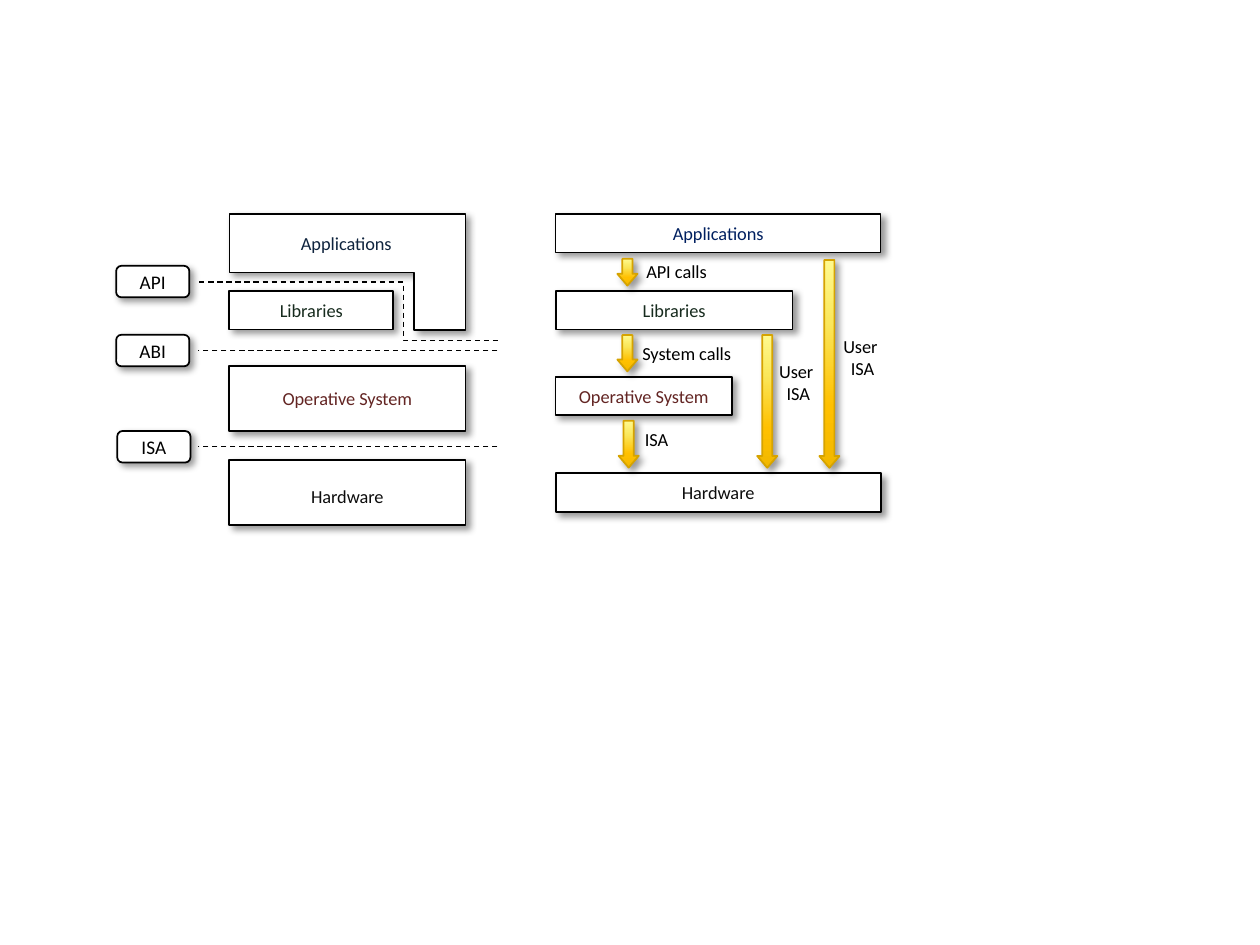
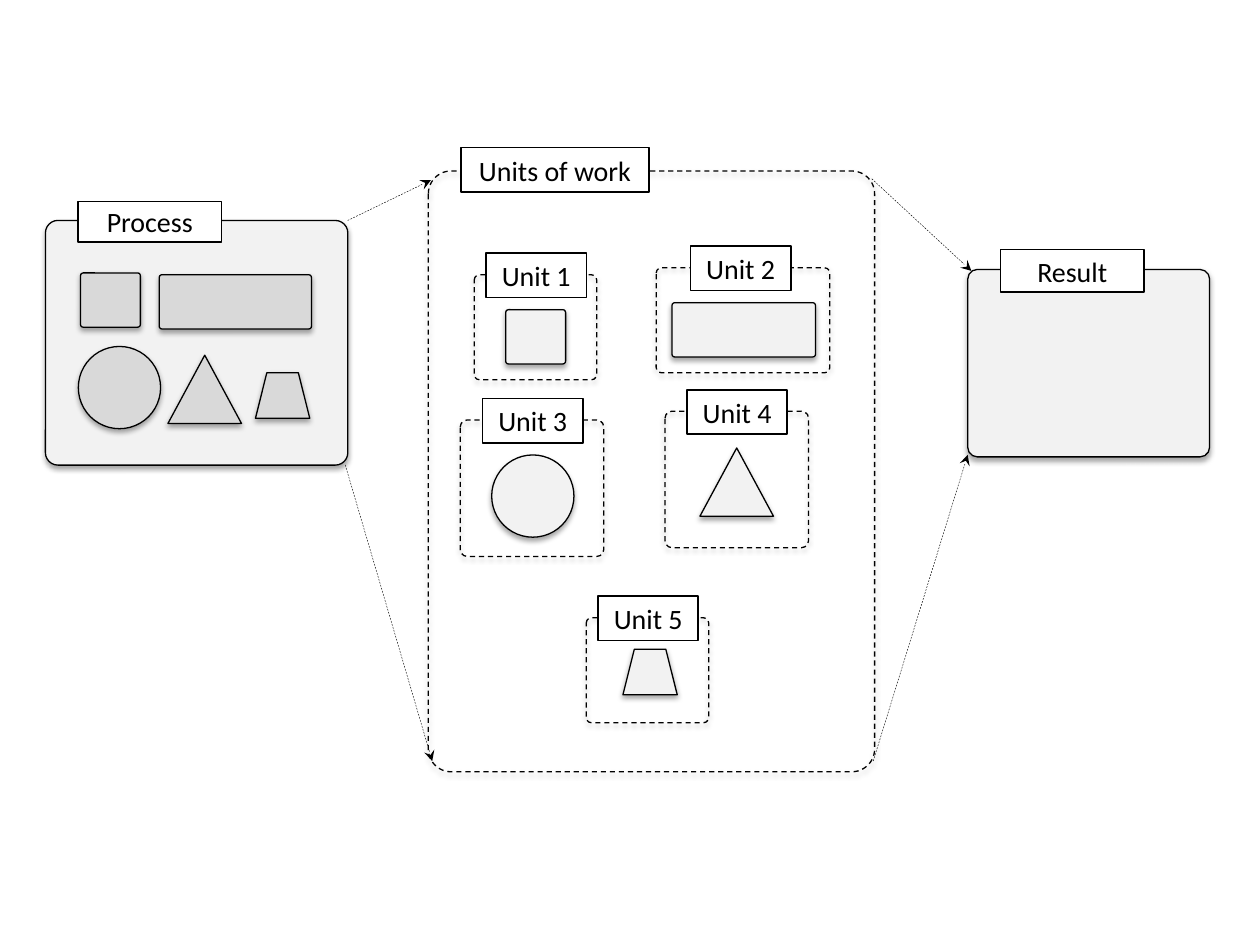
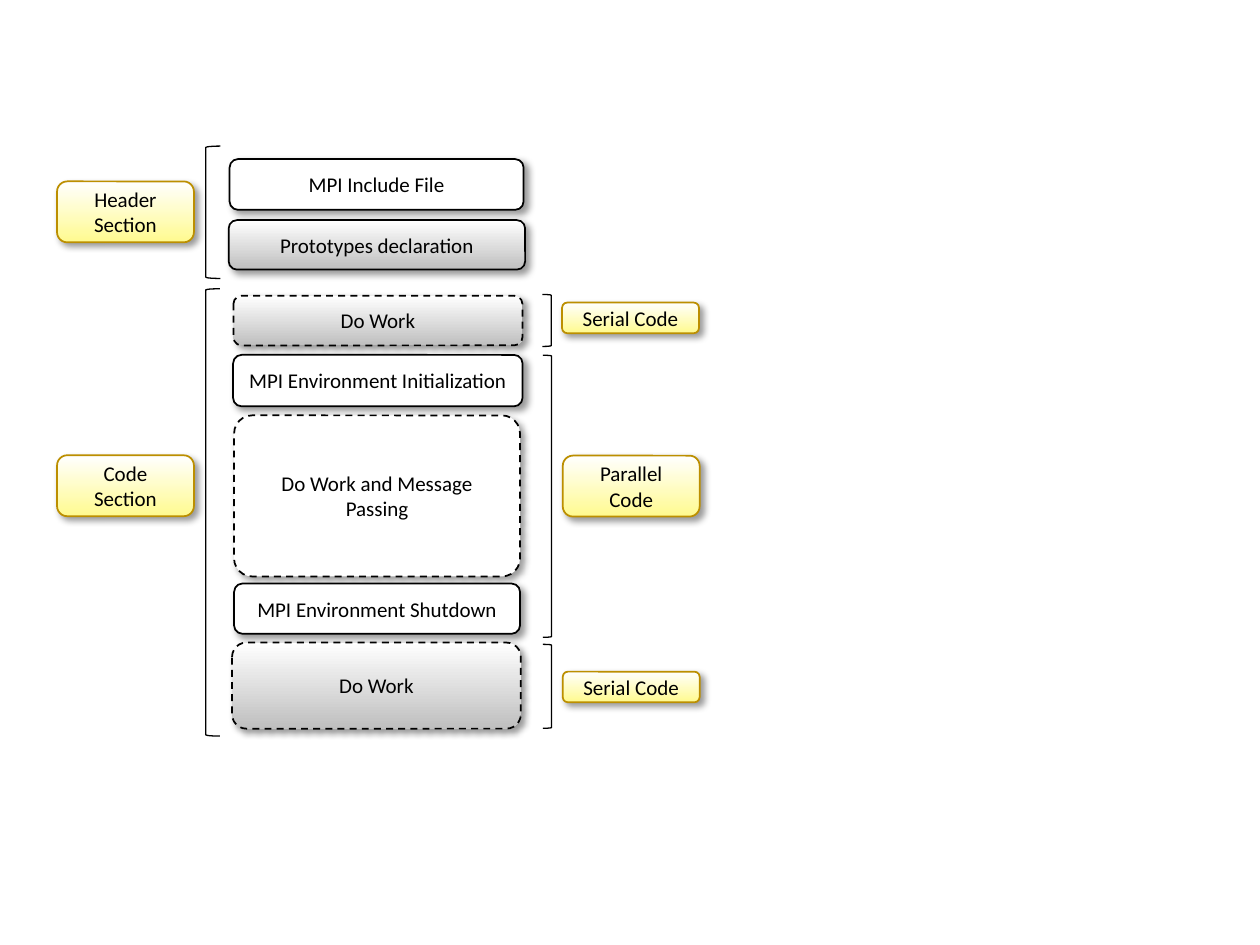
from dataclasses import dataclass, replace
from typing import NamedTuple, Optional

from lxml.etree import SubElement
from pptx import Presentation
from pptx.dml.color import RGBColor
from pptx.enum.dml import MSO_LINE
from pptx.enum.shapes import MSO_CONNECTOR, MSO_SHAPE
from pptx.enum.text import MSO_ANCHOR, MSO_AUTO_SIZE, PP_ALIGN
from pptx.oxml.ns import qn
from pptx.util import Pt


# Theme: colours, type sizes and shadows
class Shadow(NamedTuple):
    opacity: int
    blur: float
    distance: float
    angle: int


@dataclass(frozen=True)
class Theme:
    font: str = "Calibri"
    black: str = "000000"
    white: str = "FFFFFF"
    pale: str = "F2F2F2"
    grey: str = "D9D9D9"
    navy: str = "0F243E"
    blue: str = "002060"
    green: str = "172B1E"
    maroon: str = "632523"
    charcoal: str = "0D0D0D"
    arrow_edge: str = "D6A300"
    note_edge: str = "BC8F00"
    arrow_fade: tuple = ((0, "FFFA8F"), (30, "FAE75C"), (70, "FFC000"), (100, "F2B800"))
    grey_fade: tuple = ((0, "FFFFFF"), (100, "BFBFBF"))
    yellow_fade: tuple = ((0, "FFFFFF"), (100, "FFFA8F"))
    layer_size: float = 10.5
    tag_size: float = 11
    stage_size: float = 12
    title_size: float = 16
    slanted: Shadow = Shadow(40, 4, 3, 45)
    dropped: Shadow = Shadow(35, 3.1, 1.8, 90)


THEME = Theme()


class Box(NamedTuple):
    x: float
    y: float
    w: float
    h: float


@dataclass(frozen=True)
class Style:
    fill: Optional[str | tuple] = THEME.white
    edge: str = THEME.black
    width: float = 1
    dashed: bool = False
    shadow: Optional[Shadow] = THEME.slanted
    ink: str = THEME.black
    size: float = THEME.layer_size
    side_inset: float = 7.2
    top_inset: float = 3.6


LAYER = Style()
TAG = Style(size=THEME.tag_size, side_inset=0)
CALL = Style(fill=THEME.arrow_fade, edge=THEME.arrow_edge)
TITLE = Style(shadow=None, size=THEME.title_size, side_inset=0)
PANEL = Style(fill=THEME.pale, width=0.75, shadow=THEME.dropped)
FRAME = replace(PANEL, fill=None, dashed=True)
PIECE = replace(PANEL, fill=THEME.grey)
STAGE = Style(size=THEME.stage_size)
WORK = replace(STAGE, fill=THEME.grey_fade, dashed=True)
NOTE = replace(STAGE, fill=THEME.yellow_fade, edge=THEME.note_edge)
BRACKET = Style(fill=None, width=0.75, shadow=None)


# Drawing helpers
def paint_fade(shape, stops: tuple) -> None:
    shape.fill.gradient()
    shape.fill.gradient_angle = 270
    stop_list = shape.element.spPr.find(".//" + qn("a:gsLst"))
    for old_stop in list(stop_list):
        stop_list.remove(old_stop)
    for position, colour in stops:
        stop = SubElement(stop_list, qn("a:gs"), pos=str(position * 1000))
        SubElement(stop, qn("a:srgbClr"), val=colour)


def cast_shadow(shape, shadow: Optional[Shadow]) -> None:
    shape.shadow.inherit = False
    if shadow is None:
        return
    effects = shape.element.spPr.find(qn("a:effectLst"))
    outer = SubElement(effects, qn("a:outerShdw"), blurRad=str(Pt(shadow.blur)),
                       dist=str(Pt(shadow.distance)), dir=str(shadow.angle * 60000),
                       algn="tl", rotWithShape="0")
    colour = SubElement(outer, qn("a:srgbClr"), val=THEME.black)
    SubElement(colour, qn("a:alpha"), val=str(shadow.opacity * 1000))


def draw_line(line, colour: str, width: float, dashed: bool) -> None:
    line.color.rgb = RGBColor.from_string(colour)
    line.width = Pt(width)
    if dashed:
        line.dash_style = MSO_LINE.DASH


def write(frame, text: str, size: float, ink: str, align: PP_ALIGN) -> None:
    frame.text = text
    for paragraph in frame.paragraphs:
        paragraph.alignment = align
        paragraph.font.name = THEME.font
        paragraph.font.size = Pt(size)
        paragraph.font.color.rgb = RGBColor.from_string(ink)


def paint(shape, style: Style) -> None:
    if style.fill is None:
        shape.fill.background()
    elif isinstance(style.fill, tuple):
        paint_fade(shape, style.fill)
    else:
        shape.fill.solid()
        shape.fill.fore_color.rgb = RGBColor.from_string(style.fill)
    draw_line(shape.line, style.edge, style.width, style.dashed)
    cast_shadow(shape, style.shadow)


def add_box(slide, preset: MSO_SHAPE, box: Box, style: Style, text: str = "",
            adjust: tuple = ()) -> None:
    shape = slide.shapes.add_shape(preset, *map(Pt, box))
    for index, value in enumerate(adjust):
        shape.adjustments[index] = value
    paint(shape, style)
    if text:
        frame = shape.text_frame
        frame.word_wrap = True
        frame.vertical_anchor = MSO_ANCHOR.MIDDLE
        frame.margin_left = frame.margin_right = Pt(style.side_inset)
        frame.margin_top, frame.margin_bottom = Pt(style.top_inset), Pt(3.6)
        write(frame, text, style.size, style.ink, PP_ALIGN.CENTER)


def add_outline(slide, corners: tuple, style: Style) -> None:
    start, *others = [(Pt(x), Pt(y)) for x, y in corners]
    builder = slide.shapes.build_freeform(*start)
    builder.add_line_segments(others, close=True)
    paint(builder.convert_to_shape(), style)


def add_label(slide, text: str, box: Box, ink: str = THEME.black) -> None:
    frame = slide.shapes.add_textbox(*map(Pt, box)).text_frame
    frame.word_wrap = False
    frame.auto_size = MSO_AUTO_SIZE.SHAPE_TO_FIT_TEXT
    align = PP_ALIGN.CENTER if "\n" in text else PP_ALIGN.LEFT
    write(frame, text, THEME.layer_size, ink, align)


def add_dashes(slide, ends: tuple, width: float = 0.75, arrow: bool = False,
               bend: Optional[float] = None) -> None:
    kind = MSO_CONNECTOR.STRAIGHT if bend is None else MSO_CONNECTOR.ELBOW
    connector = slide.shapes.add_connector(kind, *map(Pt, ends))
    draw_line(connector.line, THEME.black, width, True)
    properties = connector.element.spPr
    if arrow:
        SubElement(properties.find(qn("a:ln")), qn("a:tailEnd"), type="stealth")
    if bend is not None:
        guides = properties.find(".//" + qn("a:avLst"))
        SubElement(guides, qn("a:gd"), name="adj1", fmla=f"val {round(bend * 100000)}")
    SubElement(properties, qn("a:effectLst"))


# Slide 1: software layers and their interfaces
class Layer(NamedTuple):
    text: str
    box: Box
    ink: str
    edge_width: float = 1
    top_inset: float = 3.6


STACK_X, STACK_W, CALLS_X, CALLS_W = 131, 135, 317.5, 185.8
APPLICATIONS_OUTLINE = ((STACK_X, 122.3), (STACK_X + STACK_W, 122.3),
                        (STACK_X + STACK_W, 188.7), (236.6, 188.7),
                        (236.6, 155.7), (STACK_X, 155.7))
LAYERS = (
    Layer("Libraries", Box(STACK_X, 166.3, 93.8, 22), THEME.green),
    Layer("Hardware", Box(STACK_X, 263, STACK_W, 37.2), THEME.charcoal, top_inset=7.2),
    Layer("Operative System", Box(STACK_X, 209.2, STACK_W, 37.2), THEME.maroon),
    Layer("Operative System", Box(CALLS_X, 215.4, 100.8, 22), THEME.maroon),
    Layer("Hardware", Box(CALLS_X, 270.5, CALLS_W, 22), THEME.charcoal),
    Layer("Libraries", Box(CALLS_X, 166.3, 135.4, 22), THEME.green),
    Layer("Applications", Box(CALLS_X, 122.3, CALLS_W, 22), THEME.blue, 0.75),
)
INTERFACES = (("API", 66.4, 151.9), ("ABI", 66.4, 191.3), ("ISA", 67, 246.3))
CALL_ARROWS = ((353.5, 240.4, 26.8), (352.8, 191.5, 20.7), (352.8, 147.9, 15.3),
               (432.7, 191.5, 75.8), (468.2, 148.5, 118.8))
CALL_LABELS = (
    ("API calls", Box(362.2, 145.4, 49.7, 20.2)),
    ("System calls", Box(360, 191.7, 67, 20.2)),
    ("ISA", Box(361.4, 241.2, 28.1, 20.2)),
    ("User \nISA", Box(437.8, 202.3, 36.7, 32.4)),
    ("User \nISA", Box(474.5, 187.9, 36.7, 32.4)),
)


def build_interfaces(slide) -> None:
    add_outline(slide, APPLICATIONS_OUTLINE, replace(LAYER, width=0.75))
    for layer in LAYERS:
        style = replace(LAYER, ink=layer.ink, width=layer.edge_width,
                        top_inset=layer.top_inset)
        add_box(slide, MSO_SHAPE.RECTANGLE, layer.box, style, layer.text)
    add_label(slide, "Applications", Box(164.9, 128.9, 67.7, 20.2), THEME.navy)

    add_dashes(slide, (113.9, 161.2, 284.4, 194.6), bend=0.684)
    for y in (200.2, 255.3):
        add_dashes(slide, (284.2, y, 113.4, y))
    for text, x, y in INTERFACES:
        add_box(slide, MSO_SHAPE.ROUNDED_RECTANGLE, Box(x, y, 41.8, 18), TAG, text)

    for x, y, length in CALL_ARROWS:
        add_box(slide, MSO_SHAPE.DOWN_ARROW, Box(x, y, 11.5, length), CALL,
                adjust=(0.5, 0.583))
    for text, box in CALL_LABELS:
        add_label(slide, text, box)


# Slide 2: a process split into units of work
class Glyph(NamedTuple):
    preset: MSO_SHAPE
    w: float
    h: float


class Unit(NamedTuple):
    title: str
    title_x: float
    frame: Box
    glyph: Glyph
    glyph_x: float
    glyph_y: float


SOFT_CORNER = (0.051,)
SQUARE = Glyph(MSO_SHAPE.ROUNDED_RECTANGLE, 34.2, 31)
BAR = Glyph(MSO_SHAPE.ROUNDED_RECTANGLE, 87, 31)
CIRCLE = Glyph(MSO_SHAPE.OVAL, 47, 47)
TRIANGLE = Glyph(MSO_SHAPE.ISOSCELES_TRIANGLE, 42, 39)
TRAPEZOID = Glyph(MSO_SHAPE.TRAPEZOID, 31, 26)

PANELS = (
    ("Process", Box(26, 126, 172.8, 139.8), Box(44.6, 115.2, 82, 23), PANEL),
    ("Units of work", Box(244.8, 97.7, 255, 343.3), Box(263.5, 84.4, 107.3, 25.4), FRAME),
    ("Result", Box(553, 154, 138.2, 107.1), Box(571.7, 142.6, 82, 24.4), PANEL),
)
FLOWS = ((198.7, 126, 246.2, 103), (197.3, 265.7, 247, 434.9),
         (498.2, 102.2, 555.1, 154.8), (499, 434.9, 553, 259.9))
PROCESS_PIECES = ((SQUARE, 46, 156), (BAR, 91, 157), (CIRCLE, 44.8, 198),
                  (TRIANGLE, 96, 203), (TRAPEZOID, 146, 213))
UNITS = (
    Unit("Unit 1", 277.7, Box(271, 157, 70, 60), SQUARE, 289, 177),
    Unit("Unit 2", 394.5, Box(375, 153, 99.2, 60), BAR._replace(w=82), 384, 173),
    Unit("Unit 5", 341.7, Box(335, 353, 70, 60), TRAPEZOID, 356, 371),
    Unit("Unit 4", 392.5, Box(380, 235, 82, 78), TRIANGLE, 400, 256),
    Unit("Unit 3", 275.7, Box(263, 240, 82, 78), CIRCLE, 281, 260),
)


def add_glyph(slide, glyph: Glyph, x: float, y: float, style: Style) -> None:
    rounded = glyph.preset == MSO_SHAPE.ROUNDED_RECTANGLE
    add_box(slide, glyph.preset, Box(x, y, glyph.w, glyph.h), style,
            adjust=SOFT_CORNER if rounded else ())


def add_titled_panel(slide, title: str, panel: Box, title_box: Box, style: Style) -> None:
    add_box(slide, MSO_SHAPE.ROUNDED_RECTANGLE, panel, style, adjust=SOFT_CORNER)
    add_box(slide, MSO_SHAPE.RECTANGLE, title_box, TITLE, title)


def build_units(slide) -> None:
    for panel in PANELS:
        add_titled_panel(slide, *panel)
    for ends in FLOWS:
        add_dashes(slide, ends, width=0.25, arrow=True)
    for glyph, x, y in PROCESS_PIECES:
        add_glyph(slide, glyph, x, y, PIECE)
    for unit in UNITS:
        add_glyph(slide, unit.glyph, unit.glyph_x, unit.glyph_y, PANEL)
        title_box = Box(unit.title_x, unit.frame.y - 12.3, 57.4, 25.4)
        add_titled_panel(slide, unit.title, unit.frame, title_box, FRAME)


# Slide 3: structure of an MPI program
STAGES = (
    ("MPI Include File", Box(131.2, 90.9, 168, 29), STAGE),
    ("Prototypes declaration", Box(130.7, 125.8, 169.4, 28.3), replace(WORK, dashed=False)),
    ("Do Work", Box(133.4, 169, 165.2, 28.4), WORK),
    ("MPI Environment Initialization", Box(133.2, 202.8, 165.4, 29.4), STAGE),
    ("Do Work and Message Passing", Box(133.8, 237.4, 163.4, 92), replace(STAGE, dashed=True)),
    ("MPI Environment Shutdown", Box(133.8, 333.5, 163.4, 28.7), STAGE),
    ("Do Work", Box(132.6, 367.2, 165, 49.2), WORK),
)
SECTION_BRACKETS = (Box(117.6, 83.5, 8.4, 75.6), Box(117.6, 165, 8, 255.6))
CODE_BRACKETS = (Box(310, 168.3, 5, 29.7), Box(310.2, 203, 5, 161.2),
                 Box(310.2, 368.2, 5, 48))
NOTES = (
    ("Header\nSection", 32.6, 103.7, 34.8),
    ("Code Section", 32.6, 260.2, 34.8),
    ("Serial Code", 321.2, 172.9, 17.5),
    ("Parallel Code", 321.6, 260.4, 34.8),
    ("Serial Code", 321.6, 383.8, 17.5),
)


def build_program(slide) -> None:
    for text, box, style in STAGES:
        # The large stage keeps a corner radius close to that of its neighbours
        adjust = (0.112,) if box.h > 90 else ()
        add_box(slide, MSO_SHAPE.ROUNDED_RECTANGLE, box, style, text, adjust)
    for preset, brackets in ((MSO_SHAPE.LEFT_BRACKET, SECTION_BRACKETS),
                             (MSO_SHAPE.RIGHT_BRACKET, CODE_BRACKETS)):
        for box in brackets:
            add_box(slide, preset, box, BRACKET)
    for text, x, y, height in NOTES:
        add_box(slide, MSO_SHAPE.ROUNDED_RECTANGLE, Box(x, y, 78.2, height), NOTE, text)


def main() -> None:
    deck = Presentation()
    deck.slide_width, deck.slide_height = Pt(720), Pt(540)
    blank = deck.slide_layouts[6]
    for build in (build_interfaces, build_units, build_program):
        build(deck.slides.add_slide(blank))
    deck.save("out.pptx")


if __name__ == "__main__":
    main()
